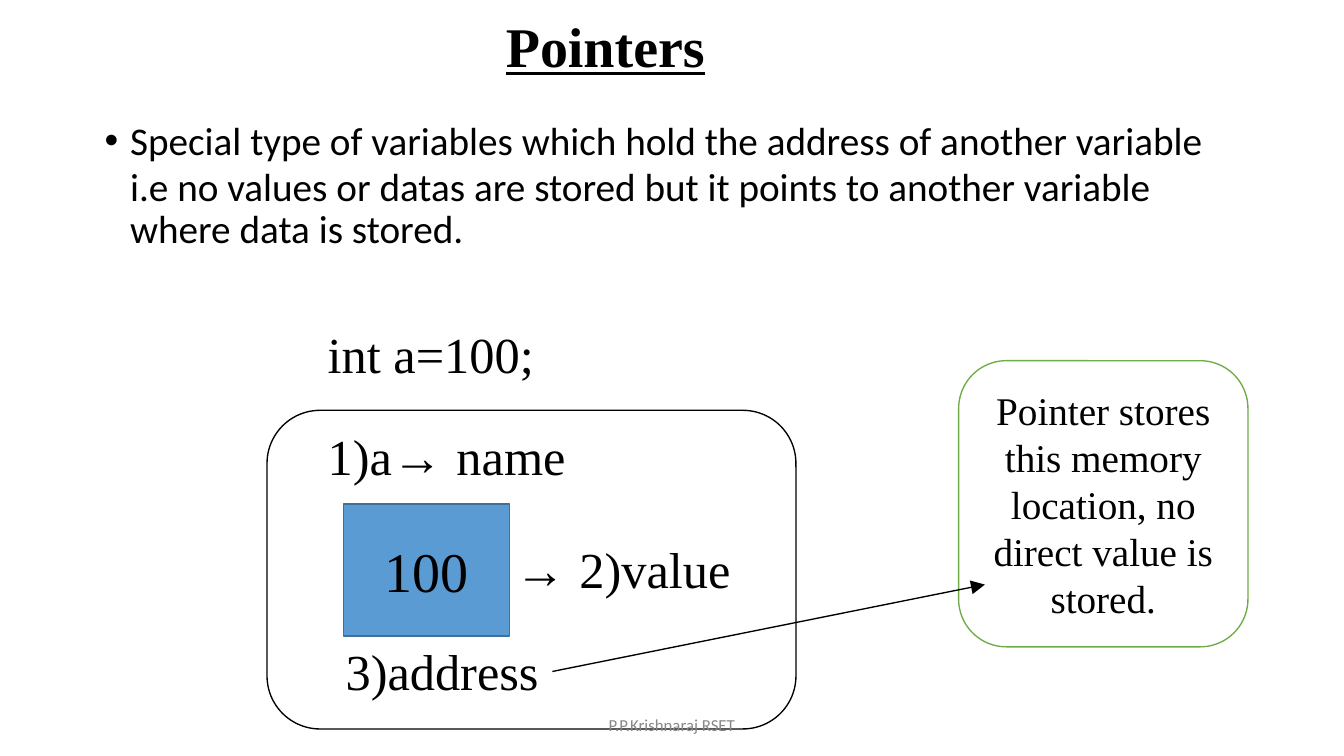
from lxml import etree
from pptx import Presentation
from pptx import util as u
from pptx.dml.color import RGBColor
from pptx.enum import shapes, text
from pptx.oxml.ns import qn

BLACK = RGBColor(0x00, 0x00, 0x00)
WHITE = RGBColor(0xFF, 0xFF, 0xFF)
GREY = RGBColor(0x88, 0x88, 0x88)
BLUE = RGBColor(0x5B, 0x9B, 0xD4)
DARK_BLUE = RGBColor(0x41, 0x70, 0x9C)
GREEN = RGBColor(0x6F, 0xAC, 0x46)

SERIF, SANS, SYMBOL = "Times New Roman", "Calibri", "Arial"
LINE_WIDTH = u.Pt(0.96)


def set_font(font, size, name=SERIF, color=BLACK):
    font.size, font.name, font.color.rgb = u.Pt(size), name, color


def add_text(page, box, lines, size, name=SERIF, color=BLACK):
    """Place lines of text; an arrow sign is set in the symbol font."""
    left, top, width, height = box
    holder = page.shapes.add_textbox(u.Cm(left), u.Cm(top), u.Cm(width), u.Cm(height))
    frame = holder.text_frame
    frame.word_wrap = True
    frame.margin_left = frame.margin_right = frame.margin_bottom = 0
    frame.margin_top = u.Cm(0.05)
    for index, line in enumerate(lines):
        para = frame.paragraphs[0] if index == 0 else frame.add_paragraph()
        set_font(para.font, size, name, color)
        before, arrow, after = line.partition("→ ")
        for part in filter(None, (before, arrow, after)):
            span = para.add_run()
            span.text = part
            if part == arrow:
                span.font.name = SYMBOL
    return frame


def add_block(page, box, kind, outline, fill=None, words="", size=28, inset=0):
    """Draw an outlined shape with centred text."""
    block = page.shapes.add_shape(kind, *(u.Cm(length) for length in box))
    block.shadow.inherit = False
    block.line.color.rgb, block.line.width = outline, LINE_WIDTH
    if fill is None:
        block.fill.background()
    else:
        block.fill.solid()
        block.fill.fore_color.rgb = fill
    if words:
        frame = block.text_frame
        frame.word_wrap = True
        frame.vertical_anchor = text.MSO_ANCHOR.MIDDLE
        frame.margin_left = frame.margin_right = u.Cm(inset)
        para = frame.paragraphs[0]
        para.text, para.alignment = words, text.PP_ALIGN.CENTER
        set_font(para.font, size)


def add_title(page, box):
    para = add_text(page, box, ["Pointers"], 40).paragraphs[0]
    para.font.bold = para.font.underline = True


def add_definition(page, box):
    lines = [
        "Special type of variables which hold the address of another variable",
        "i.e no values or datas are stored but it points to another variable "
        "where data is stored.",
    ]
    first, second = add_text(page, box, lines, 28, SANS).paragraphs
    first.line_spacing, first.space_before = u.Pt(31.9), u.Pt(0.9)
    second.line_spacing, second.space_before = u.Pt(30.3), u.Pt(2.1)
    # Hanging bullet on the first paragraph, plain indent on the second
    for para, hanging in ((first, 0.64), (second, 0)):
        properties = para._p.get_or_add_pPr()
        properties.set("marL", str(u.Cm(0.66)))
        properties.set("indent", str(-u.Cm(hanging)))
    properties = first._p.get_or_add_pPr()
    bullet_font = etree.Element(qn("a:buFont"), typeface=SYMBOL)
    bullet = etree.Element(qn("a:buChar"), char="•")
    properties.find(qn("a:spcBef")).addnext(bullet_font)
    bullet_font.addnext(bullet)


def add_memory(page, box):
    """Show a variable's name, value and address."""
    left, top, _, _ = box
    add_block(page, box, shapes.MSO_SHAPE.ROUNDED_RECTANGLE, BLACK)
    add_block(page, (left + 1.93, top + 2.36, 4.19, 3.33),
              shapes.MSO_SHAPE.RECTANGLE, DARK_BLUE, BLUE, "100", 40)
    labels = [
        ("int a=100;", 1.53, -2.24),
        ("1)a→ name", 1.53, 0.33),
        ("→ 2)value", 6.25, 3.17),
        ("3)address", 1.98, 5.74),
    ]
    for words, across, down in labels:
        add_text(page, (left + across, top + down, 6.2, 1.6), [words], 36)


def add_note(page, box):
    add_block(page, box, shapes.MSO_SHAPE.ROUNDED_RECTANGLE, GREEN,
              words="Pointer stores this memory location, no direct value is stored.",
              inset=0.45)


def add_arrow(page, start, end):
    arrow = page.shapes.add_connector(
        shapes.MSO_CONNECTOR.STRAIGHT, *(u.Cm(length) for length in start + end))
    arrow.line.color.rgb, arrow.line.width = BLACK, LINE_WIDTH
    etree.SubElement(arrow.line._get_or_add_ln(), qn("a:tailEnd"),
                     type="triangle", w="lg", len="lg")
    etree.SubElement(arrow._element.spPr, qn("a:effectLst"))


def main():
    deck = Presentation()
    deck.slide_width, deck.slide_height = u.Cm(33.87), u.Cm(19.05)
    page = deck.slides.add_slide(deck.slide_layouts[6])
    page.background.fill.solid()
    page.background.fill.fore_color.rgb = WHITE

    add_title(page, (12.75, 0.23, 5.3, 1.75))
    add_definition(page, (2.62, 2.95, 28.1, 3.4))
    add_memory(page, (6.73, 10.34, 13.33, 8.03))
    add_note(page, (24.16, 9.09, 7.29, 7.21))
    # From the address to the note
    add_arrow(page, (13.92, 16.92), (24.82, 14.73))
    # Footer
    add_text(page, (15.34, 17.96, 3.6, 0.5), ["P.P.Krishnaraj RSET"], 12, SANS, GREY)
    deck.save("out.pptx")


if __name__ == "__main__":
    main()
